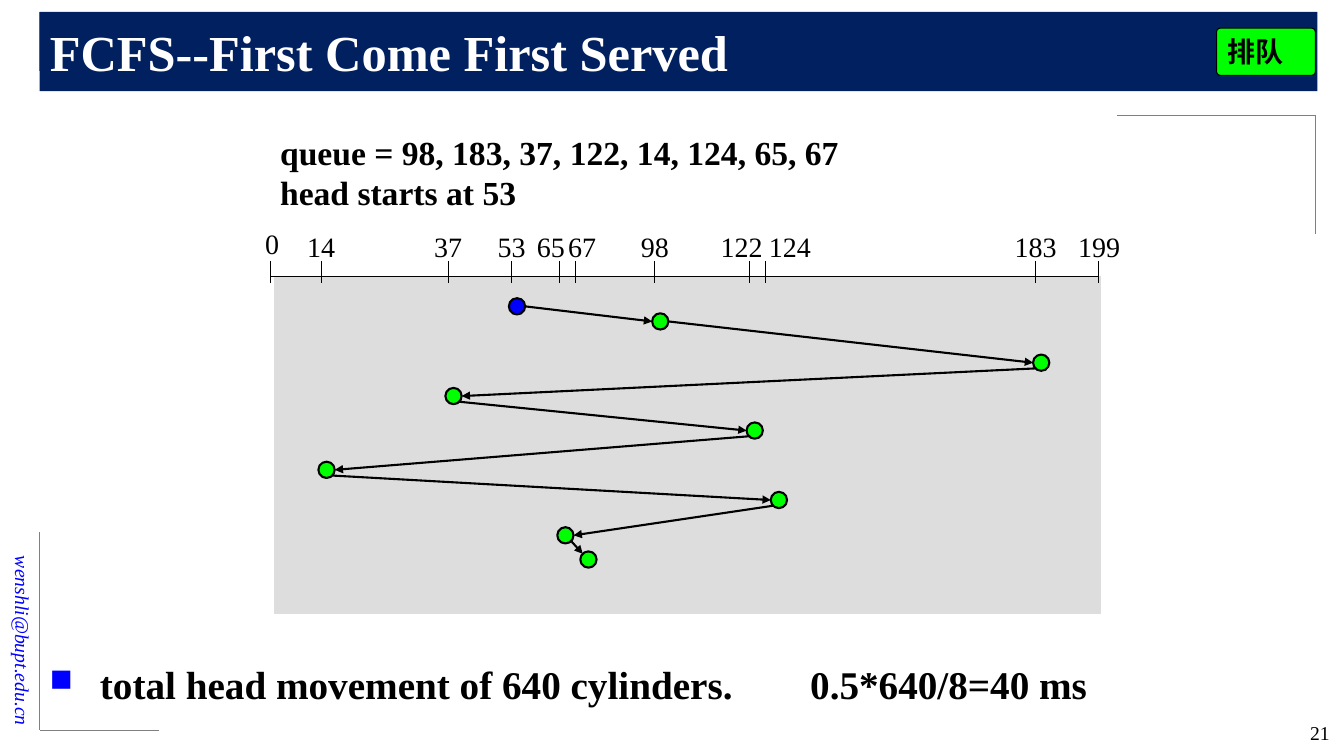
import itertools
from dataclasses import dataclass
from typing import Any

import pptx
import pptx.dml.color
import pptx.enum.shapes
import pptx.enum.text
import pptx.oxml
import pptx.oxml.ns
import pptx.util

Cm = pptx.util.Cm
Pt = pptx.util.Pt
SHAPES = pptx.enum.shapes.MSO_SHAPE
ALIGN = pptx.enum.text.PP_ALIGN
ANCHOR = pptx.enum.text.MSO_ANCHOR
FIT = pptx.enum.text.MSO_AUTO_SIZE

SERIF = "Times New Roman"
BLACK, BLUE, GREEN = "000000", "0000FF", "00FF00"
NAVY, GREY, PALE, WHITE = "002060", "808080", "DDDDDD", "FFFFFF"
DOT = 0.41
AXIS_Y, TICK_TOP, TICK_BOTTOM = 6.96, 6.58, 7.14


@dataclass(frozen=True)
class Tick:
    cylinder: int
    x: float
    label_left: float
    label_top: float = 5.66


@dataclass(frozen=True)
class Stop:
    x: float
    y: float
    enter: tuple[float, float] = (0, 0)
    leave: tuple[float, float] = (0, 0)
    color: str = GREEN


@dataclass(frozen=True)
class Note:
    lines: tuple[str, ...]
    place: tuple[float, float, float, float]
    font: dict[str, Any]
    color: str = BLACK
    align: Any = ALIGN.LEFT
    anchor: Any = ANCHOR.TOP
    wrap: bool = True
    rotation: float = 0


TICKS = [
    Tick(0, 6.81, 6.43, 5.59), Tick(14, 8.1, 7.49), Tick(37, 11.3, 10.69),
    Tick(53, 12.9, 12.29), Tick(65, 14.1, 13.28), Tick(67, 14.5, 14.07),
    Tick(98, 16.5, 15.9), Tick(122, 18.9, 17.91), Tick(124, 19.3, 19.13),
    Tick(183, 26.09, 25.32), Tick(199, 27.69, 26.92),
]

LEFT, RIGHT = (-0.5, 0), (0.5, 0)
LOWER_LEFT, LOWER_RIGHT, UPPER_LEFT = (-0.35, 0.35), (0.35, 0.35), (-0.35, -0.35)
STOPS = [
    Stop(13.03, 7.72, leave=RIGHT, color=BLUE),
    Stop(16.64, 8.1, LEFT, RIGHT),
    Stop(26.24, 9.14, LEFT, LOWER_LEFT),
    Stop(11.43, 9.98, RIGHT, LOWER_RIGHT),
    Stop(19.02, 10.85, LEFT, LOWER_LEFT),
    Stop(8.23, 11.84, RIGHT, LOWER_RIGHT),
    Stop(19.63, 12.6, LEFT, LOWER_LEFT),
    Stop(14.25, 13.49, RIGHT, LOWER_RIGHT),
    Stop(14.83, 14.1, UPPER_LEFT),
]

FRAME_LINES = [
    (1, 0.3, 1, 1.8), (1, 0.3, 6, 0.3),
    (1, 13.4, 1, 18.4), (4, 18.4, 1, 18.4),
    (33.15, 2.9, 33.15, 5.9), (33.15, 2.9, 28.15, 2.9),
]

SMALL = {"name": SERIF, "size": Pt(14)}
LABEL = {"name": SERIF, "size": Pt(20)}
BODY = {"name": SERIF, "size": Pt(24), "bold": True}
RESULT = {"name": SERIF, "size": Pt(28), "bold": True}
TITLE = {"name": SERIF, "size": Pt(36), "bold": True}
BADGE = {"name": "Noto Sans CJK SC", "size": Pt(20), "bold": True}


def rgb(color: str) -> pptx.dml.color.RGBColor:
    return pptx.dml.color.RGBColor.from_string(color)


def put(box: Any, place: tuple[float, ...]) -> None:
    for name, value in zip(("left", "top", "width", "height"), place):
        setattr(box, name, Cm(value))


def write(para: Any, text: str, font: dict[str, Any], color: str) -> Any:
    span = para.add_run()
    span.text = text
    for name, value in font.items():
        setattr(span.font, name, value)
    span.font.color.rgb = rgb(color)
    return span


def add_note(page: Any, note: Note) -> Any:
    box = page.shapes.add_textbox(*map(Cm, note.place))
    box.rotation = note.rotation
    frame = box.text_frame
    frame.word_wrap = note.wrap
    frame.auto_size = FIT.SHAPE_TO_FIT_TEXT
    frame.vertical_anchor = note.anchor
    for index, line in enumerate(note.lines):
        para = frame.add_paragraph() if index else frame.paragraphs[0]
        para.alignment = note.align
        write(para, line, note.font, note.color)
    return box


def add_line(page: Any, ends: tuple[float, ...], color: str, width: float,
             arrow: bool = False) -> None:
    line = page.shapes.add_connector(
        pptx.enum.shapes.MSO_CONNECTOR.STRAIGHT, *map(Cm, ends))
    line.line.color.rgb = rgb(color)
    line.line.width = Pt(width)
    properties = line.element.spPr
    if arrow:
        head = pptx.oxml.ns.qn("a:tailEnd")
        line.line._get_or_add_ln().append(
            properties.makeelement(head, {"type": "triangle"}))
    properties.append(
        properties.makeelement(pptx.oxml.ns.qn("a:effectLst"), {}))


def add_block(page: Any, kind: Any, place: tuple[float, ...], fill: str,
              outline: str, width: float) -> Any:
    block = page.shapes.add_shape(kind, *map(Cm, place))
    block.shadow.inherit = False
    block.fill.solid()
    block.fill.fore_color.rgb = rgb(fill)
    block.line.color.rgb = rgb(outline)
    block.line.width = Pt(width)
    return block


def add_title(page: Any) -> None:
    title = page.shapes.title
    title.element.getparent().append(title.element)
    put(title, (1, 0.3, 32.2, 2))
    title.fill.solid()
    title.fill.fore_color.rgb = rgb(NAVY)
    title.text_frame.vertical_anchor = ANCHOR.MIDDLE
    para = title.text_frame.paragraphs[0]
    para.alignment = ALIGN.LEFT
    write(para, "FCFS--First Come First Served", TITLE, WHITE)


def add_total(page: Any) -> None:
    box = add_note(page, Note(("total head movement of 640 cylinders.",),
                              (1, 16.51, 18.8, 1.45), RESULT,
                              anchor=ANCHOR.MIDDLE))
    settings = box.text_frame.paragraphs[0]._p.get_or_add_pPr()
    settings.set("marL", str(Cm(1.27)))
    settings.set("indent", str(-Cm(1.27)))
    namespace = pptx.oxml.ns.nsdecls("a")
    for bullet in (f'<a:buClr {namespace}><a:srgbClr val="{BLUE}"/></a:buClr>',
                   f'<a:buSzPct {namespace} val="80000"/>',
                   f'<a:buChar {namespace} char="■"/>'):
        settings.append(pptx.oxml.parse_xml(bullet))
    add_note(page, Note(("0.5*640/8=40 ms",), (20.17, 16.51, 12.5, 1.45),
                        RESULT, anchor=ANCHOR.MIDDLE))


def add_axis(page: Any) -> None:
    add_block(page, SHAPES.RECTANGLE, (6.93, AXIS_Y, 20.8, 8.5), PALE, PALE, 0.75)
    for start, end in itertools.pairwise(TICKS):
        add_line(page, (start.x, AXIS_Y, end.x, AXIS_Y), BLACK, 0.75)
    for tick in TICKS:
        add_line(page, (tick.x, TICK_TOP, tick.x, TICK_BOTTOM), BLACK, 0.75)
        text = str(tick.cylinder)
        place = (tick.label_left, tick.label_top, 0.51 + 0.36 * len(text), 1.09)
        add_note(page, Note((text,), place, LABEL, wrap=False))


def add_head_moves(page: Any) -> None:
    for stop in STOPS:
        place = (stop.x - DOT / 2, stop.y - DOT / 2, DOT, DOT)
        add_block(page, SHAPES.OVAL, place, stop.color, BLACK, 1.5)
    for start, end in itertools.pairwise(STOPS):
        ends = (start.x + DOT * start.leave[0], start.y + DOT * start.leave[1],
                end.x + DOT * end.enter[0], end.y + DOT * end.enter[1])
        add_line(page, ends, BLACK, 1.5, arrow=True)


def add_badge(page: Any) -> None:
    badge = add_block(page, SHAPES.ROUNDED_RECTANGLE, (30.66, 0.71, 2.49, 1.19),
                      GREEN, BLACK, 0.75)
    badge.adjustments[0] = 0.08
    badge.text_frame.vertical_anchor = ANCHOR.TOP
    para = badge.text_frame.paragraphs[0]
    para.alignment = ALIGN.LEFT
    span = write(para, "排队", BADGE, BLACK)
    settings = span.font._element
    settings.append(settings.makeelement(
        pptx.oxml.ns.qn("a:ea"), {"typeface": BADGE["name"]}))


def main() -> None:
    deck = pptx.Presentation()
    deck.slide_width, deck.slide_height = Cm(33.87), Cm(19.05)
    page = deck.slides.add_slide(deck.slide_layouts[5])
    add_note(page, Note(("wenshli@bupt.edu.cn",), (-2.77, 14.76, 6.7, 0.86),
                        SMALL | {"italic": True}, BLUE, ALIGN.RIGHT,
                        ANCHOR.MIDDLE, rotation=90))
    for ends in FRAME_LINES:
        add_line(page, ends, GREY, 0.5)
    add_title(page)
    add_total(page)
    add_note(page, Note(("queue = 98, 183, 37, 122, 14, 124, 65, 67",
                         "head starts at 53"), (6.81, 3.2, 17.93, 2.31), BODY))
    add_axis(page)
    add_head_moves(page)
    add_badge(page)
    add_note(page, Note(("21",), (30.94, 18.03, 2.82, 0.91), SMALL,
                        align=ALIGN.RIGHT))
    deck.save("out.pptx")


if __name__ == "__main__":
    main()
